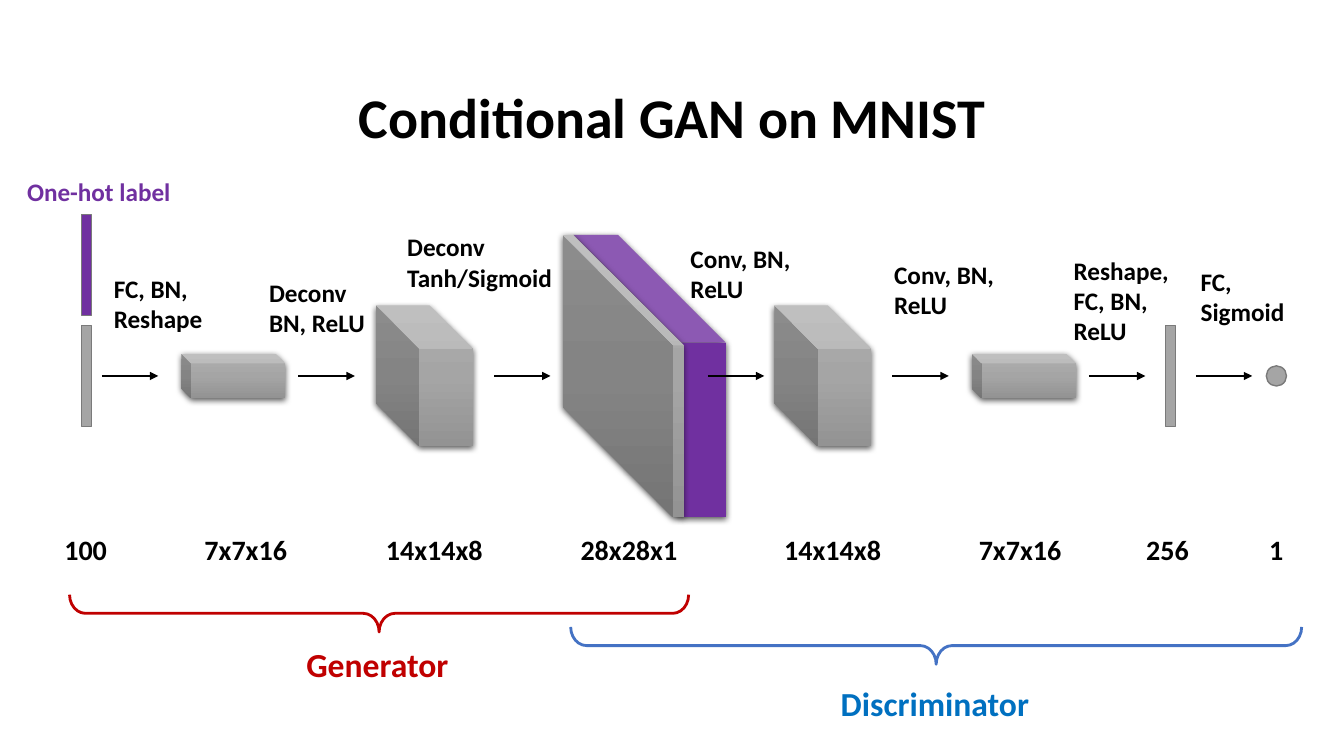
from pptx import Presentation
from pptx.util import Pt
from pptx.dml.color import RGBColor
from pptx.enum.shapes import MSO_SHAPE, MSO_CONNECTOR
from pptx.enum.text import MSO_AUTO_SIZE, PP_ALIGN
from pptx.oxml import parse_xml
from pptx.oxml.ns import nsdecls
from lxml import etree

CUBE, RECT, OVAL = MSO_SHAPE.CUBE, MSO_SHAPE.RECTANGLE, MSO_SHAPE.OVAL
BRACE, LINE = MSO_SHAPE.RIGHT_BRACE, MSO_CONNECTOR.STRAIGHT
FIT, LEFT, CENTER = MSO_AUTO_SIZE.SHAPE_TO_FIT_TEXT, PP_ALIGN.LEFT, PP_ALIGN.CENTER

PX = 9144  # 100 px to the inch
COLORS = {
    "black": "000000", "gray": "A5A5A5", "edge": "7A7A7A",
    "light": "AFAFAF", "dark": "939393", "purple": "7030A0",
    "red": "C00000", "blue": "0070C0", "brace": "4472C4",
}
MID = 203   # flow line, below the top of a network box
DIMS = 353  # row of layer sizes
STEP = 56   # arrow length

GRAY = (
    f'<a:gradFill {nsdecls("a")} rotWithShape="1"><a:gsLst>'
    + "".join(f'<a:gs pos="{pos}"><a:srgbClr val="{COLORS[name]}"/></a:gs>'
              for pos, name in ((0, "light"), (50000, "gray"), (100000, "dark")))
    + '</a:gsLst><a:lin ang="5400000" scaled="0"/></a:gradFill>'
)
SHADE = (
    f'<a:outerShdw {nsdecls("a")} blurRad="57150" dist="19050" dir="5400000" '
    f'algn="ctr" rotWithShape="0"><a:srgbClr val="{COLORS["black"]}">'
    '<a:alpha val="63000"/></a:srgbClr></a:outerShdw>'
)


def rgb(name):
    return RGBColor.from_string(COLORS[name])


def scale(*sizes):
    return [round(size * PX) for size in sizes]


def text(slide, x, y, w, h, words, size=18, color="black", align=LEFT):
    frame = slide.shapes.add_textbox(*scale(x, y, w, h)).text_frame
    frame.word_wrap = False
    frame.auto_size = FIT
    frame.text = words
    style = {"name": "Calibri", "size": Pt(size), "bold": True}
    for para in frame.paragraphs:
        para.alignment = align
        for key, value in style.items():
            setattr(para.font, key, value)
        para.font.color.rgb = rgb(color)


def shape(slide, kind, x, y, w, h, fill=None, edge="edge", width=1):
    item = slide.shapes.add_shape(kind, *scale(x, y, w, h))
    item.shadow.inherit = False
    if fill:
        item.fill.solid()
        item.fill.fore_color.rgb = rgb(fill)
    else:
        item.fill.background()
    item.line.color.rgb = rgb(edge)
    item.line.width = Pt(width)
    return item


def cube(slide, x, y, w, h, depth, fill=None):
    item = shape(slide, CUBE, x, y, w, h, fill or "gray")
    item.adjustments[0] = depth
    item.line.fill.background()
    props = item.element.spPr
    props.xfrm.set("flipH", "1")
    if not fill:
        solid = props.find("{*}solidFill")
        props.replace(solid, parse_xml(GRAY))
    props.find("{*}effectLst").append(parse_xml(SHADE))


def arrow(slide, x, y):
    line = slide.shapes.add_connector(LINE, *scale(x, y, x + STEP, y))
    line.line.color.rgb = rgb("black")
    line.line.width = Pt(2)
    line.line._get_or_add_ln().append(
        parse_xml(f'<a:tailEnd {nsdecls("a")} type="triangle"/>'))
    space = nsdecls("a").split('"')[1]
    etree.SubElement(line.element.spPr, f"{{{space}}}effectLst")


def brace(slide, x, y, w, h, color):
    # Turned a quarter, so width and height swap around the centre
    turn = (w - h) / 2
    item = shape(slide, BRACE, x + turn, y - turn, h, w, edge=color, width=2)
    item.rotation = 90
    item.adjustments[0] = 0.424


def flow(slide, x, y, steps, ops, dims):
    for left in steps:
        arrow(slide, x + left, y + MID)
    for left, top, w, words in ops:
        height = 41 + 30 * words.count("\n")
        text(slide, x + left, y + top, w, height, words)
    for left, w, words in dims:
        text(slide, x + left, y + DIMS, w, 44, words, 20)


def blocks(slide, x, y, large, small):
    # Mid-size and flat feature maps, both centred on the flow line
    cube(slide, x + large, y + MID - 70, 96, 140, 0.447)
    cube(slide, x + small, y + MID - 22, 103, 44, 0.217)


def image(slide, x, y, w, h):
    # Label channel behind the 28x28 image
    cube(slide, x + 11, y, w - 11, h, 0.709, "purple")
    cube(slide, x, y, 120, h, 0.912)


def generator(slide, x, y, w, h):
    # Label and noise vectors
    text(slide, x + 17, y, 163, 40, "One-hot label", color="purple")
    shape(slide, RECT, x + 81, y + 43, 10, 100, "purple")
    shape(slide, RECT, x + 81, y + 153, 10, 100, "gray")
    blocks(slide, x, y, 373, 180)
    flow(slide, x, y, (101, 296, 490), (
        (103, 96, 109, "FC, BN,\nReshape"),
        (257, 100, 116, "Deconv\nBN, ReLU"),
        (394, 55, 165, "Deconv\nTanh/Sigmoid"),
    ), ((54, 63, "100"), (193, 103, "7x7x16"),
        (373, 117, "14x14x8"), (566, 117, "28x28x1")))
    brace(slide, x + 69, y + h - 94, w - 69, 37, "red")
    text(slide, x + 294, y + h - 50, 163, 50, "Generator", 24, "red")


def critic(slide, x, y, w, h):
    blocks(slide, x, y, 202, 398)
    # Dense layer and output
    shape(slide, RECT, x + 590, y + MID - 50, 10, 100, "gray")
    shape(slide, OVAL, x + 690, y + MID - 10, 20, 20, "gray")
    flow(slide, x, y, (136, 319, 514, 620), (
        (109, 66, 126, "Conv, BN,\nReLU"),
        (311, 82, 126, "Conv, BN,\nReLU"),
        (489, 78, 121, "Reshape,\nFC, BN,\nReLU"),
        (615, 89, 104, "FC,\nSigmoid"),
    ), ((202, 117, "14x14x8"), (395, 103, "7x7x16"),
        (561, 63, "256"), (683, 34, "1")))
    brace(slide, x, y + h - 101, w, 37, "brace")
    text(slide, x + 258, y + h - 50, 209, 50, "Discriminator", 24, "blue")


def main():
    deck = Presentation()
    deck.slide_width, deck.slide_height = scale(1333, 750)
    slide = deck.slides.add_slide(deck.slide_layouts[6])
    text(slide, 342, 77, 649, 77, "Conditional GAN on MNIST", 40, align=CENTER)
    image(slide, 558, 233, 162, 280)
    generator(slide, 0, 170, 683, 514)
    critic(slide, 566, 170, 725, 553)
    deck.save("out.pptx")


if __name__ == "__main__":
    main()
